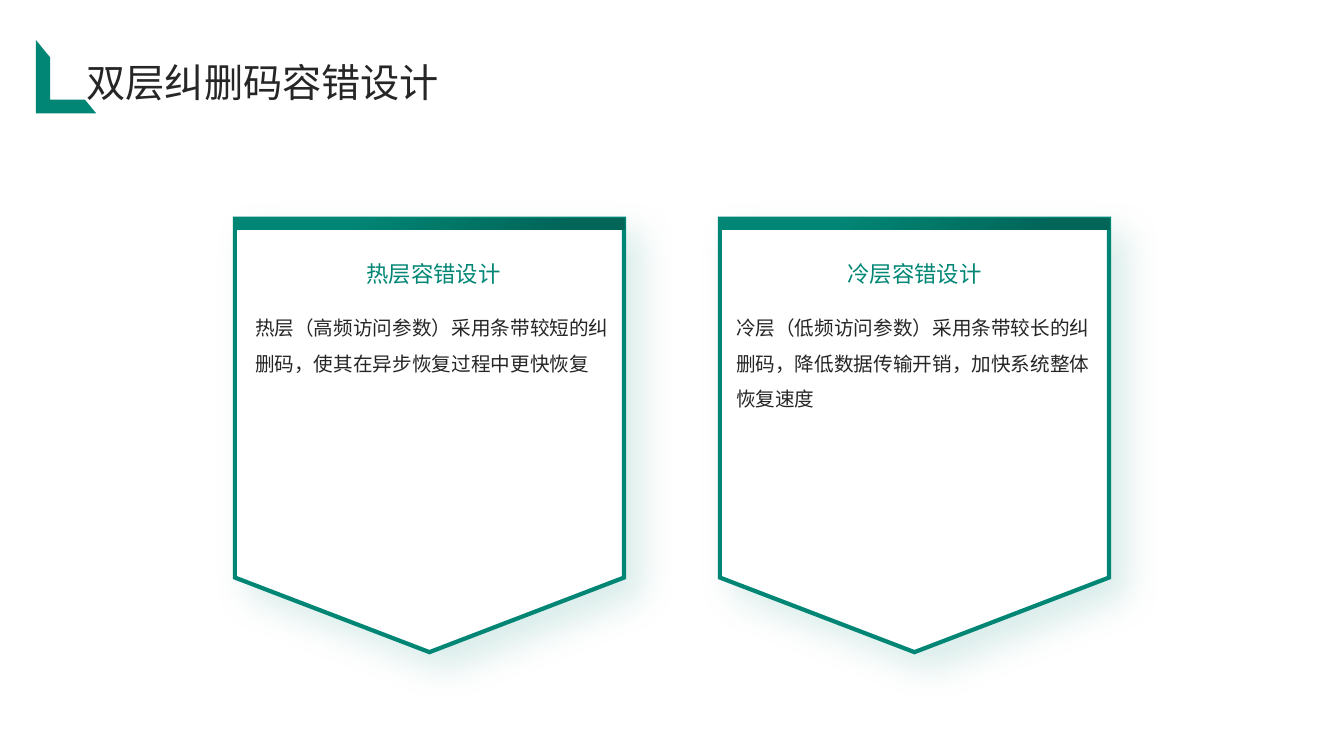
from dataclasses import dataclass

from lxml import etree
from pptx import Presentation
from pptx import util as u
from pptx.dml.color import RGBColor
from pptx.enum import shapes, text
from pptx.oxml import ns


@dataclass(frozen=True)
class Theme:
    green: str = "018675"
    deep_green: str = "016558"
    ink: str = "262626"
    white: str = "FFFFFF"
    title_font: str = "Noto Sans CJK SC"
    heading_font: str = "Cabin"
    body_font: str = "Roboto"
    title_size: int = 28
    heading_size: int = 16
    body_size: int = 14


def rgb(color):
    return RGBColor.from_string(color)


class SlideBuilder:
    def __init__(self, slide, theme):
        self.slide = slide
        self.theme = theme

    def solid(self, shape, color):
        shape.shadow.inherit = False
        shape.fill.solid()
        shape.fill.fore_color.rgb = rgb(color)
        shape.line.fill.background()

    def placeholder(self, idx, words, box, font, size, color,
                    align=text.PP_ALIGN.LEFT, anchor=text.MSO_ANCHOR.MIDDLE, spacing=1.0):
        holder = self.slide.placeholders[idx]
        holder.left, holder.top, holder.width, holder.height = map(u.Inches, box)
        self.slide.shapes._spTree.append(holder._element)  # bring in front of the cards
        frame = holder.text_frame
        frame.text = words
        frame.word_wrap = True
        frame.auto_size = text.MSO_AUTO_SIZE.NONE
        frame.vertical_anchor = anchor
        frame.margin_left = frame.margin_top = frame.margin_right = frame.margin_bottom = 0
        paragraph = frame.paragraphs[0]
        paragraph.alignment = align
        paragraph.line_spacing = spacing
        paragraph.space_before = u.Pt(0)
        properties = paragraph._p.get_or_add_pPr()
        properties.set("marL", "0")
        properties.set("indent", "0")
        etree.SubElement(properties, ns.qn("a:buNone"))
        paragraph.font.name = font
        paragraph.font.size = u.Pt(size)
        paragraph.font.bold = False
        paragraph.font.color.rgb = rgb(color)

    def corner(self, box):
        corner = self.slide.shapes.add_shape(shapes.MSO_SHAPE.HALF_FRAME, *map(u.Inches, box))
        corner.rotation = 270
        corner.adjustments[0], corner.adjustments[1] = 0.238, 0.229
        self.solid(corner, self.theme.green)

    def pennant(self, left, top, width, side, tip):
        right = left + width
        outline = [(right, top), (right, top + side), (left + width / 2, top + tip),
                   (left, top + side)]
        builder = self.slide.shapes.build_freeform(u.Inches(left), u.Inches(top))
        builder.add_line_segments([(u.Inches(x), u.Inches(y)) for x, y in outline], close=True)
        pennant = builder.convert_to_shape()
        self.solid(pennant, self.theme.white)
        pennant.line.color.rgb = rgb(self.theme.green)
        pennant.line.width = u.Pt(3)
        etree.SubElement(pennant.line._ln, ns.qn("a:miter"), lim="800000")
        self.soft_shadow(pennant)

    def soft_shadow(self, shape):
        effects = shape._element.spPr.find(ns.qn("a:effectLst"))
        shadow = etree.SubElement(effects, ns.qn("a:outerShdw"), blurRad=str(u.Pt(25)),
                                  dist=str(u.Pt(15)), dir="2700000", algn="ctr",
                                  rotWithShape="0")
        color = etree.SubElement(shadow, ns.qn("a:srgbClr"), val=self.theme.green)
        etree.SubElement(color, ns.qn("a:alpha"), val="15000")

    def gradient_bar(self, box):
        bar = self.slide.shapes.add_shape(shapes.MSO_SHAPE.RECTANGLE, *map(u.Inches, box))
        self.solid(bar, self.theme.green)
        bar.fill.gradient()
        bar.fill.gradient_angle = 315
        stops = [(0.29, self.theme.green), (0.86, self.theme.deep_green)]
        for stop, (position, color) in zip(bar.fill.gradient_stops, stops):
            stop.position = position
            stop.color.rgb = rgb(color)

    def card(self, left, text_left, heading_idx, heading, body):
        t = self.theme
        top, width = 2.17, 3.86
        self.pennant(left, top, width, side=3.56, tip=4.3)
        self.gradient_bar((left, top, width, 0.11))
        self.placeholder(heading_idx, heading, (text_left, 2.52, 3.54, 0.38),
                         t.heading_font, t.heading_size, t.green,
                         align=text.PP_ALIGN.CENTER)
        self.placeholder(heading_idx + 1, body, (text_left, 3.02, 3.52, 2.71),
                         t.body_font, t.body_size, t.ink,
                         anchor=text.MSO_ANCHOR.TOP, spacing=1.5)


def main():
    deck = Presentation()
    deck.slide_width, deck.slide_height = u.Inches(13.33), u.Inches(7.5)
    comparison_layout = deck.slide_layouts[4]
    theme = Theme()
    page = SlideBuilder(deck.slides.add_slide(comparison_layout), theme)

    # Hot and cold tier cards
    page.card(2.33, 2.53, 1, "热层容错设计",
              "热层（高频访问参数）采用条带较短的纠删码，使其在异步恢复过程中更快恢复")
    page.card(7.14, 7.3, 3, "冷层容错设计",
              "冷层（低频访问参数）采用条带较长的纠删码，降低数据传输开销，加快系统整体恢复速度")

    # Title with its corner mark
    page.placeholder(0, "双层纠删码容错设计", (0.86, 0.53, 11.67, 0.51),
                     theme.title_font, theme.title_size, theme.ink, spacing=1.1)
    page.corner((0.29, 0.46, 0.73, 0.6))

    deck.save("out.pptx")


if __name__ == "__main__":
    main()
